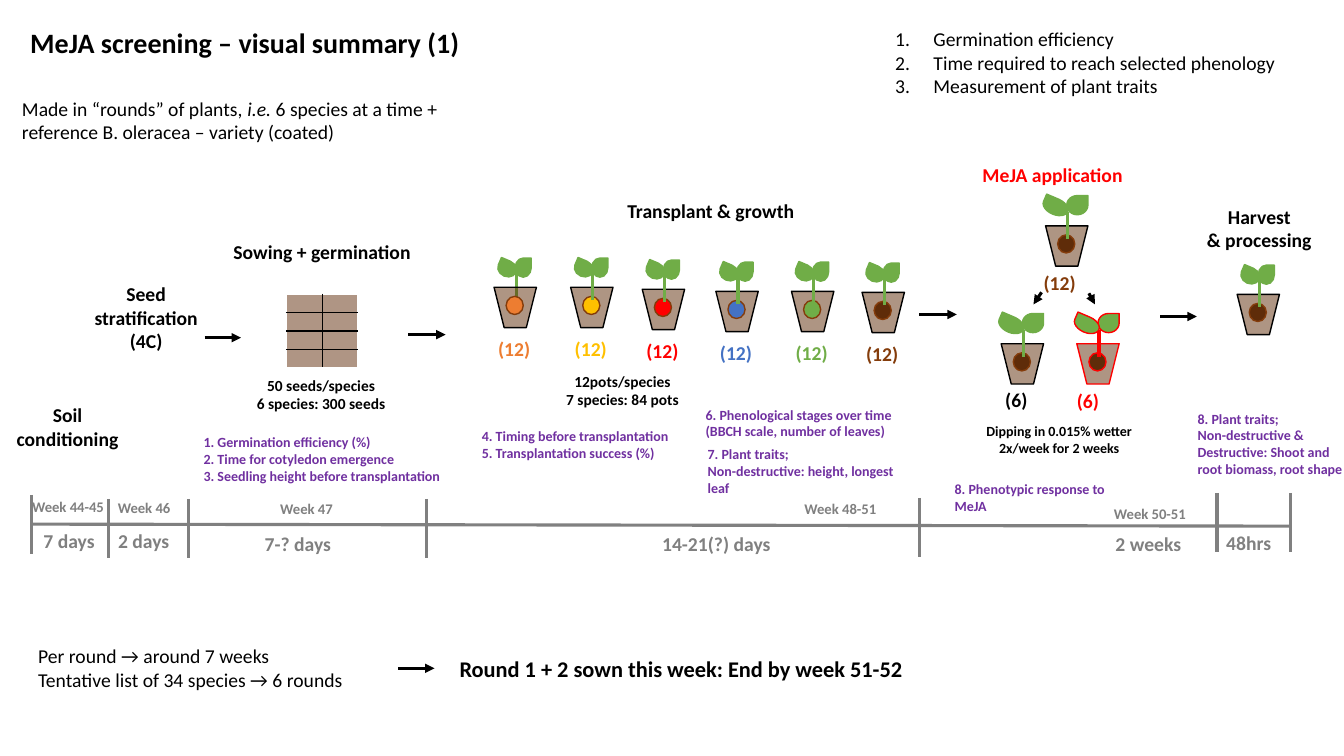
from dataclasses import dataclass

import lxml.etree
import pptx
import pptx.dml.color
import pptx.enum.shapes
import pptx.enum.text
import pptx.oxml.ns
import pptx.util

Inches = pptx.util.Inches
RGBColor = pptx.dml.color.RGBColor
SHAPE = pptx.enum.shapes.MSO_SHAPE
ALIGN = pptx.enum.text.PP_ALIGN
qn = pptx.oxml.ns.qn

BLACK = RGBColor(0x00, 0x00, 0x00)
GRAY = RGBColor(0x80, 0x80, 0x80)
PURPLE = RGBColor(0x70, 0x30, 0xA0)
RED = RGBColor(0xFF, 0x00, 0x00)
ORANGE = RGBColor(0xED, 0x7D, 0x31)
GOLD = RGBColor(0xFF, 0xC0, 0x00)
BLUE = RGBColor(0x44, 0x72, 0xC4)
GREEN = RGBColor(0x70, 0xAD, 0x47)
RUST = RGBColor(0x84, 0x3C, 0x0B)
SOIL = RGBColor(0x5F, 0x2C, 0x09)
TRAY = RGBColor(0xAF, 0x95, 0x84)

PLAIN = {"size": 14, "bold": False, "color": BLACK, "align": ALIGN.LEFT}
HEADING = PLAIN | {"bold": True, "align": ALIGN.CENTER}
COUNT = HEADING | {"size": 11}
NOTE = PLAIN | {"size": 10, "bold": True, "color": PURPLE}
DURATION = HEADING | {"color": GRAY}
WEEK = DURATION | {"size": 10.5}


@dataclass
class Box:
    left: float
    top: float

    def at(self, dx, dy):
        return Inches(self.left + dx), Inches(self.top + dy)


def style_span(span, look):
    values = {"name": "Calibri", "size": pptx.util.Pt(look["size"]), "bold": look["bold"]}
    for name, value in values.items():
        setattr(span.font, name, value)
    span.font.color.rgb = look["color"]


def style_frame(frame, look, wrap):
    values = {"word_wrap": wrap, "auto_size": pptx.enum.text.MSO_AUTO_SIZE.NONE,
              "vertical_anchor": pptx.enum.text.MSO_ANCHOR.TOP}
    for name, value in values.items():
        setattr(frame, name, value)
    for para in frame.paragraphs:
        para.alignment = look["align"]
        for span in para.runs:
            style_span(span, look)


def add_text(shapes, box, place, text, look, wrap=False):
    dx, dy, width, height = place
    frame = shapes.add_textbox(*box.at(dx, dy), Inches(width), Inches(height)).text_frame
    frame.text = text
    style_frame(frame, look, wrap)
    return frame


def add_line(shapes, box, start, end, color=BLACK, arrow=False):
    line = shapes.add_connector(pptx.enum.shapes.MSO_CONNECTOR.STRAIGHT,
                                *box.at(*start), *box.at(*end))
    line.line.color.rgb = color
    line.line.width = pptx.util.Pt(2.25)
    if arrow:
        lxml.etree.SubElement(line.line._get_or_add_ln(), qn("a:tailEnd"), type="triangle")
    lxml.etree.SubElement(line._element.spPr, qn("a:effectLst"))


def add_part(shapes, box, kind, place, fill, outline, rotation=0):
    dx, dy, width, height = place
    part = shapes.add_shape(kind, *box.at(dx, dy), Inches(width), Inches(height))
    part.shadow.inherit = False
    part.rotation = rotation
    part.fill.solid()
    part.fill.fore_color.rgb = fill
    part.line.color.rgb = outline
    part.line.width = pptx.util.Pt(1)
    return part


def draw_pot(shapes, box, seed, outline=BLACK, rim=RUST):
    pot = add_part(shapes, box, SHAPE.TRAPEZOID, (0, 0, 0.42, 0.4), SOIL, outline, 180)
    color = pot.fill._xPr.find(qn("a:solidFill"))[0]
    lxml.etree.SubElement(color, qn("a:alpha"), val="50000")
    add_part(shapes, box, SHAPE.OVAL, (0.12, 0.09, 0.17, 0.18), seed, rim)


def draw_sprout(shapes, box, color=GREEN, large=False):
    add_line(shapes, box, (0.22, -0.14), (0.22, 0.13), color)
    right = (0.21, -0.3, 0.21, 0.19) if large else (0.21, -0.29, 0.16, 0.19)
    left = (0.02, -0.32, 0.16, 0.26) if large else (0.05, -0.28, 0.16, 0.19)
    add_part(shapes, box, SHAPE.TEAR, right, GREEN, color)
    add_part(shapes, box, SHAPE.TEAR, left, GREEN, color, 293)


def draw_header(page, box):
    title = page.shapes.title
    title.left, title.top = box.at(0.08, 0)
    title.width, title.height = Inches(4.5), Inches(0.44)
    title.text_frame.text = "MeJA screening – visual summary (1)"
    style_frame(title.text_frame, PLAIN | {"size": 20, "bold": True}, False)
    # Numbered goals
    goals = add_text(page.shapes, box, (8.66, 0.02, 4.35, 0.81),
                     "Germination efficiency\nTime required to reach selected phenology\n"
                     "Measurement of plant traits", PLAIN, True)
    for para in goals.paragraphs:
        properties = para._p.get_or_add_pPr()
        properties.set("marL", str(Inches(0.38)))
        properties.set("indent", str(-Inches(0.38)))
        lxml.etree.SubElement(properties, qn("a:buAutoNum"), type="arabicPeriod")
    # Introduction
    intro = add_text(page.shapes, box, (0, 0.71, 4.94, 0.57),
                     "Made in “rounds” of plants, ", PLAIN, True)
    for text, italic in (("i.e. ", True),
                         ("6 species at a time + reference B. oleracea – variety (coated)", False)):
        span = intro.paragraphs[0].add_run()
        span.text = text
        style_span(span, PLAIN)
        span.font.italic = italic


def draw_timeline(page, box):
    add_line(page.shapes, box, (0, 0.31), (12.49, 0.33), GRAY)
    for dx, dy in ((0, 0.02), (0.77, 0.06), (1.56, 0.06), (3.92, 0.06),
                   (8.81, 0.05), (11.76, 0), (12.49, 0)):
        add_line(page.shapes, box, (dx, dy), (dx, dy + 0.59), GRAY)
    for text, dx, dy, width in (
            ("7 days", 0.02, 0.31, 0.71), ("2 days", 0.76, 0.31, 0.71),
            ("7-? days", 2.21, 0.34, 0.87), ("14-21(?) days", 6.15, 0.34, 1.29),
            ("2 weeks", 10.65, 0.34, 0.86), ("48hrs", 11.75, 0.33, 0.65)):
        add_text(page.shapes, box, (dx, dy, width, 0.34), text, DURATION)
    for text, dx, dy, width in (
            ("Week 44-45", -0.1, 0, 0.93), ("Week 46", 0.75, 0.01, 0.74),
            ("Week 47", 2.36, 0.02, 0.74), ("Week 48-51", 7.56, 0.02, 0.93),
            ("Week 50-51", 10.63, 0.07, 0.93)):
        add_text(page.shapes, box, (dx, dy, width, 0.28), text, WEEK)


def draw_tray(page, box):
    rows, columns = 4, 2
    frame = page.shapes.add_table(rows, columns, *box.at(0, 0), Inches(0.71), Inches(0.73))
    tray = frame.table
    tray.first_row = tray.horz_banding = False
    for row in range(rows):
        for column in range(columns):
            cell = tray.cell(row, column)
            for side in ("left", "right", "top", "bottom"):
                setattr(cell, f"margin_{side}", 0)
            lxml.etree.SubElement(cell.text_frame.paragraphs[0]._p, qn("a:endParaRPr"), sz="400")
            # Black lines between the cells only
            inner = {"lnL": column > 0, "lnR": column < columns - 1,
                     "lnT": row > 0, "lnB": row < rows - 1}
            for tag in (tag for tag, shown in inner.items() if shown):
                border = lxml.etree.SubElement(cell._tc.get_or_add_tcPr(), qn(f"a:{tag}"), w="12700")
                fill = lxml.etree.SubElement(border, qn("a:solidFill"))
                lxml.etree.SubElement(fill, qn("a:srgbClr"), val=str(BLACK))
            cell.fill.solid()
            cell.fill.fore_color.rgb = TRAY


def draw_sowing(page, box):
    for text, place, look in (
            ("Soil\nconditioning", (0, 1.62, 1.22, 0.57), HEADING),
            ("Seed\nstratification\n(4C)", (0.77, 0.42, 1.24, 0.81), HEADING),
            ("Sowing + germination", (2.15, 0, 1.97, 0.34), HEADING),
            ("50 seeds/species\n6 species: 300 seeds", (2.38, 1.35, 1.49, 0.47), COUNT),
            ("1. Germination efficiency (%)\n2. Time for cotyledon emergence\n"
             "3. Seedling height before transplantation", (1.86, 1.92, 2.59, 0.61), NOTE)):
        add_text(page.shapes, box, place, text, look)
    add_line(page.shapes, box, (1.97, 1.02), (2.33, 1.02), arrow=True)
    draw_tray(page, Box(box.left + 2.78, box.top + 0.59))


def draw_growth(page, box):
    add_line(page.shapes, box, (0, 1.4), (0.37, 1.4), arrow=True)
    for text, place, look, wrap in (
            ("Transplant & growth", (1.6, 0, 2.8, 0.34), HEADING, True),
            ("12pots/species\n7 species: 84 pots", (1.46, 1.72, 1.33, 0.47), COUNT, False),
            ("4. Timing before transplantation\n5. Transplantation success (%)",
             (0.63, 2.27, 2.09, 0.44), NOTE, False),
            ("6. Phenological stages over time\n(BBCH scale, number of leaves)",
             (2.85, 2.06, 2.22, 0.44), NOTE, True),
            ("7. Plant traits;\nNon-destructive: height, longest leaf",
             (2.87, 2.45, 2.27, 0.77), NOTE, True)):
        add_text(page.shapes, box, place, text, look, wrap)
    # One potted plant per species
    for dx, dy, seed, label in (
            (0.85, 0.93, ORANGE, ORANGE), (1.61, 0.93, GOLD, GOLD), (2.32, 0.95, RED, RED),
            (3.05, 0.97, BLUE, BLUE), (3.8, 0.97, GREEN, GREEN), (4.5, 0.98, SOIL, RUST)):
        plant = page.shapes.add_group_shape().shapes
        spot = Box(box.left + dx, box.top + dy)
        steps = [lambda: draw_pot(plant, spot, seed), lambda: draw_sprout(plant, spot)]
        for step in reversed(steps) if seed == ORANGE else steps:
            step()
        add_text(plant, spot, (-0.06, 0.44, 0.52, 0.34), "(12)", HEADING | {"color": label})


def draw_application(page, box):
    for start, end in (((0, 1.55), (0.37, 1.55)), ((1.21, 1.33), (1.13, 1.45)),
                       ((1.68, 1.34), (1.74, 1.45))):
        add_line(page.shapes, box, start, end, arrow=True)
    for dx, dy, outline, rim, stem in ((1.25, 0.67, BLACK, RUST, GREEN),
                                       (0.81, 1.84, BLACK, RUST, GREEN),
                                       (1.56, 1.84, RED, RED, RED)):
        plant = page.shapes.add_group_shape().shapes
        spot = Box(box.left + dx, box.top + dy)
        draw_pot(plant, spot, SOIL, outline, rim)
        draw_sprout(plant, spot, stem, large=True)
    for text, place, look in (
            ("MeJA application", (0.52, 0, 1.6, 0.34), HEADING | {"color": RED}),
            ("(12)", (1.13, 1.07, 0.52, 0.34), HEADING | {"color": RUST}),
            ("(6)", (0.75, 2.23, 0.42, 0.34), HEADING),
            ("(6)", (1.46, 2.24, 0.42, 0.34), HEADING | {"color": RED}),
            ("Dipping in 0.015% wetter\n2x/week for 2 weeks", (0.52, 2.57, 1.73, 0.44),
             HEADING | {"size": 10})):
        add_text(page.shapes, box, place, text, look)
    add_text(page.shapes, box, (0.25, 3.15, 1.76, 0.61),
             "8. Phenotypic response to MeJA", NOTE, True)


def draw_harvest(page, box):
    add_line(page.shapes, box, (0.42, 1.16), (0.78, 1.16), arrow=True)
    add_text(page.shapes, box, (0, 0, 2.8, 0.57), "Harvest\n& processing", HEADING, True)
    plant = page.shapes.add_group_shape().shapes
    spot = Box(box.left + 1.18, box.top + 0.94)
    draw_pot(plant, spot, SOIL)
    draw_sprout(plant, spot)
    add_text(page.shapes, box, (0.69, 2.04, 1.76, 0.94),
             "8. Plant traits;\nNon-destructive &\n"
             "Destructive: Shoot and root biomass, root shape", NOTE, True)


def draw_summary(page, box):
    add_text(page.shapes, box, (0, 0, 4.35, 0.57), "Per round → around 7 weeks\n"
             "Tentative list of 34 species → 6 rounds", PLAIN, True)
    add_line(page.shapes, box, (3.67, 0.29), (4.03, 0.29), arrow=True)
    add_text(page.shapes, box, (4.18, 0.11, 4.86, 0.37),
             "Round 1 + 2 sown this week: End by week 51-52",
             PLAIN | {"size": 16, "bold": True}, True)


def main():
    deck = pptx.Presentation()
    deck.slide_width, deck.slide_height = Inches(13.33), Inches(7.5)
    page = deck.slides.add_slide(deck.slide_layouts[5])
    for draw, left, top in (
            (draw_header, 0.12, 0.2), (draw_timeline, 0.31, 4.89), (draw_sowing, 0.06, 2.33),
            (draw_growth, 4.05, 1.92), (draw_application, 9.12, 1.57),
            (draw_harvest, 11.09, 1.98), (draw_summary, 0.28, 6.34)):
        draw(page, Box(left, top))
    deck.save("out.pptx")


if __name__ == "__main__":
    main()
